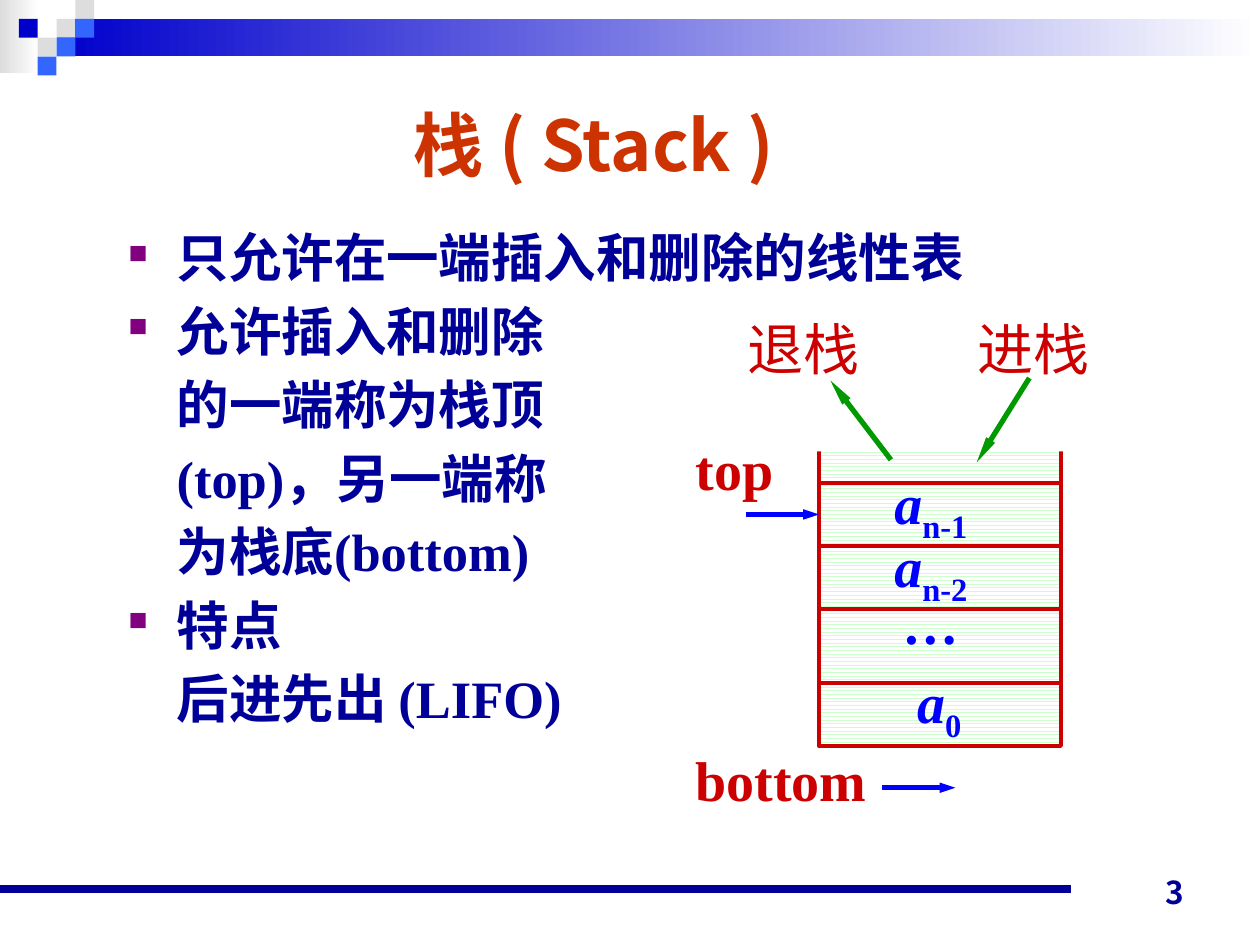
from lxml.etree import SubElement
from pptx import Presentation
from pptx.dml.color import RGBColor
from pptx.enum.dml import MSO_PATTERN
from pptx.enum.shapes import MSO_CONNECTOR, MSO_SHAPE
from pptx.enum.text import MSO_ANCHOR as Anchor, PP_ALIGN as Align
from pptx.oxml.ns import qn
from pptx.util import Cm, Pt

SANS, SERIF = "Noto Sans CJK JP", "Times New Roman"
NAVY, BLUE, RED, GREEN = "000099", "0000FF", "CC0000", "009900"
GREY, SKY, ROYAL, WHITE = "DDDDDD", "3366FF", "0000CC", "FFFFFF"


def color(hex_code):
    return RGBColor.from_string(hex_code)


def add_rect(page, left, top, width, height, fill=None):
    rect = page.shapes.add_shape(
        MSO_SHAPE.RECTANGLE, Cm(left), Cm(top), Cm(width), Cm(height))
    rect.shadow.inherit = False
    rect.line.fill.background()
    if fill:
        rect.fill.solid()
        rect.fill.fore_color.rgb = color(fill)
    return rect


def add_fade(page, left, top, width, height, start):
    """Rectangle that fades from the start colour to white, left to right."""
    fill = add_rect(page, left, top, width, height).fill
    fill.gradient()
    fill.gradient_angle = 0
    for stop, hex_code, position in zip(fill.gradient_stops, (start, WHITE), (0, 1)):
        stop.color.rgb = color(hex_code)
        stop.position = position


def add_line(page, start, end, hex_code, width, head=None):
    """Straight line; head is the (width, length) of an arrowhead at its end."""
    line = page.shapes.add_connector(
        MSO_CONNECTOR.STRAIGHT, *(Cm(value) for value in (*start, *end)))
    line.line.color.rgb = color(hex_code)
    line.line.width = Pt(width)
    if head:
        SubElement(line.line._get_or_add_ln(), qn("a:tailEnd"),
                   type="triangle", w=head[0], len=head[1])
    SubElement(line._element.spPr, qn("a:effectLst"))


def add_frame(page, left, top, width, height, wrap=True, anchor=Anchor.TOP):
    box = page.shapes.add_textbox(Cm(left), Cm(top), Cm(width), Cm(height))
    frame = box.text_frame
    frame.word_wrap = wrap
    frame.vertical_anchor = anchor
    return frame


def add_span(para, text, size, font, hex_code, bold=True, italic=False):
    span = para.add_run()
    span.text = text
    span.font.size = Pt(size)
    span.font.bold = bold
    span.font.italic = italic
    span.font.color.rgb = color(hex_code)
    span.font.name = font
    return span


def add_label(page, left, top, width, text, hex_code=RED, **style):
    para = add_frame(page, left, top, width, 1.6, wrap=False).paragraphs[0]
    add_span(para, text, 32, SERIF, hex_code, **style)
    return para


def add_header(page, left, top, width):
    unit = 0.38
    add_fade(page, left, top, 0.79, 1.47, GREY)
    add_fade(page, left + 3 * unit, top + unit, width - 3 * unit, 2 * unit, ROYAL)
    tiles = [(3, 1, GREY), (4, 0, GREY), (4, 1, SKY), (2, 2, GREY),
             (1, 1, ROYAL), (3, 2, SKY), (2, 3, SKY)]
    for column, row, fill in tiles:
        add_rect(page, left + column * unit, top + row * unit, unit, unit, fill)


def add_footer(page, left, top):
    add_line(page, (left, top), (left + 21.59, top), NAVY, 4.5)
    frame = add_frame(page, left + 18.21, top - 0.71, 5.92, 1.27, anchor=Anchor.BOTTOM)
    frame.paragraphs[0].alignment = Align.RIGHT
    add_span(frame.paragraphs[0], "3", 18, SANS, NAVY)


def add_title(page, left, top, width, height):
    frame = add_frame(page, left, top, width, height, anchor=Anchor.MIDDLE)
    frame.paragraphs[0].alignment = Align.CENTER
    add_span(frame.paragraphs[0], "栈 ( Stack )", 40, SANS, "CC3300")


def set_indent(para, bulleted):
    props = para._p.get_or_add_pPr()
    margin = Cm(0.97)
    props.set("marL", str(margin))
    props.set("indent", str(-margin if bulleted else 0))
    if bulleted:
        SubElement(SubElement(props, qn("a:buClr")), qn("a:srgbClr"), val="800080")
        SubElement(props, qn("a:buSzPct"), val="50000")
        SubElement(props, qn("a:buChar"), char="■")
    else:
        SubElement(props, qn("a:buNone"))


def add_points(page, left, top, width, height):
    points = [
        ("只允许在一端插入和删除的线性表", True, "Arial"),
        ("允许插入和删除", True, SERIF),
        ("的一端称为栈顶", False, SERIF),
        ("(top)，另一端称", False, SERIF),
        ("为栈底(bottom)", False, SERIF),
        ("特点", True, SERIF),
        ("后进先出 (LIFO)", False, SERIF),
    ]
    frame = add_frame(page, left, top, width, height)
    for index, (text, bulleted, font) in enumerate(points):
        para = frame.add_paragraph() if index else frame.paragraphs[0]
        set_indent(para, bulleted)
        para.line_spacing = Pt(36)
        if index:
            para.space_before = Pt(6)
        add_span(para, text, 30, font, NAVY)


def add_stack(page, left, top, width, height):
    """Open-topped stack with its cells, end markers and the two operations."""
    body = add_rect(page, left, top, width, height)
    body.fill.patterned()
    body.fill.pattern = MSO_PATTERN.ZIG_ZAG
    body.fill.fore_color.rgb = color("CCFFCC")
    body.fill.back_color.rgb = color(WHITE)
    body.line.color.rgb = color(RED)
    body.line.width = Pt(2.25)
    add_rect(page, left - 1.07, top - 0.43, width + 1.27, 0.64, WHITE)

    for offset in (0.84, 2.11, 3.38, 4.88):
        add_line(page, (left, top + offset), (left + width, top + offset), RED, 2.25)
    cells = [("a", "n-1", 1.27, 0.43, 2.11), ("a", "n-2", 1.27, 1.7, 2.11),
             ("…", "", 1.47, 2.84, 1.65), ("a", "0", 1.73, 4.45, 1.45)]
    for text, index, x, y, label_width in cells:
        para = add_label(page, left + x, top + y, label_width, text, BLUE, italic=True)
        if index:
            span = add_span(para, index, 32, SERIF, BLUE)
            span.font._element.set("baseline", "-25000")

    for text, y, label_width in (("top", -0.25, 2.08), ("bottom", 6.02, 3.96)):
        add_label(page, left - 2.74, top + y, label_width, text)
    for x, y in ((-1.48, 1.48), (1.27, 6.99)):
        add_line(page, (left + x, top + y), (left + x + 1.48, top + y),
                 BLUE, 3, ("sm", "med"))

    for text, x in (("退栈", -1.7), ("进栈", 2.95)):
        para = add_label(page, left + x, top - 2.67, 2.77, text, bold=False)
        para.line_spacing = Pt(38)
    for x1, y1, x2, y2 in ((4.24, -1.27, 3.18, 0.43), (1.45, 0.38, 0.23, -1.22)):
        add_line(page, (left + x1, top + y1), (left + x2, top + y2),
                 GREEN, 3, ("sm", "lg"))


def main():
    deck = Presentation()
    deck.slide_width, deck.slide_height = Cm(25.4), Cm(19.05)
    page = deck.slides.add_slide(deck.slide_layouts[6])
    add_header(page, 0, 0, 25.4)
    add_footer(page, 0, 17.93)
    add_points(page, 2.34, 4.42, 22.22, 12.7)
    add_title(page, 7.62, 1.63, 8.69, 2.54)
    add_stack(page, 16.51, 8.89, 4.88, 6.15)
    deck.save("out.pptx")


if __name__ == "__main__":
    main()
